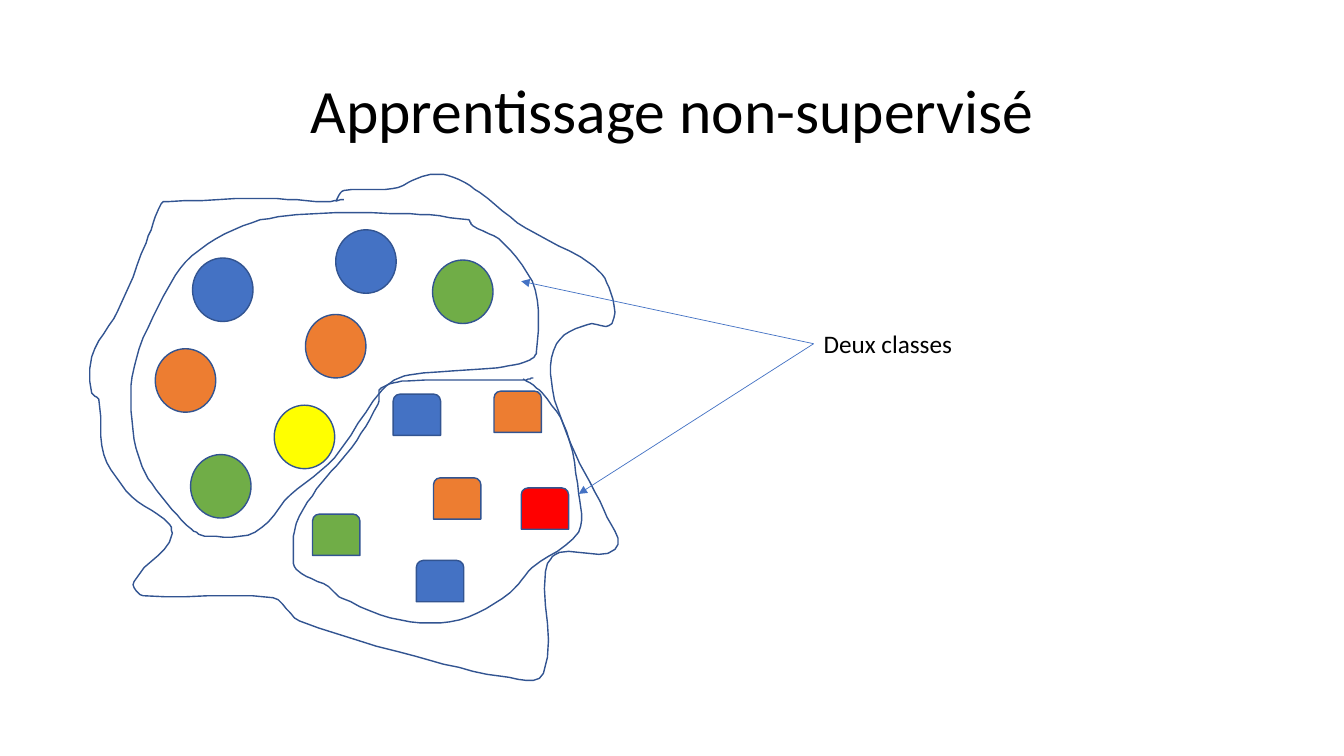
from pptx import Presentation
from pptx import util as u
from pptx.dml.color import RGBColor
from pptx.enum import shapes, text
from pptx.oxml.ns import qn
from lxml import etree
import math

PX = 9144
STEPS = 6
COLORS = {"blue": "4472C4", "green": "70AD47", "orange": "ED7D31",
          "yellow": "FFFF00", "red": "FF0000", "outline": "325491",
          "text": "000000"}

CIRCLES = [(191, 256, "blue"), (189, 451, "green"), (303, 312, "orange"),
           (429, 258, "green"), (272, 402, "yellow"), (333, 228, "blue"),
           (154, 346, "orange")]
TABS = [(490, 388, "orange"), (390, 391, "blue"), (517, 484, "red"),
        (430, 474, "orange"), (413, 556, "blue"), (310, 510, "green")]

DATA_SET = [
    (341, 198), (322, 200), (266, 197), (168, 200), (160, 202), (145, 241),
    (117, 308), (91, 354), (91, 390), (98, 396), (103, 451), (131, 493),
    (168, 520), (168, 538), (133, 577), (142, 591), (271, 593), (297, 616),
    (412, 651), (498, 671), (539, 668), (541, 567), (555, 548), (610, 545),
    (599, 506), (571, 451), (548, 386), (552, 341), (583, 322), (607, 321),
    (604, 285), (586, 262), (521, 226), (476, 191), (444, 174), (419, 175),
    (390, 187), (341, 189), (333, 200)]
ROUND_CLASS = [
    (465, 218), (407, 212), (294, 213), (241, 224), (190, 254), (162, 294),
    (135, 357), (130, 408), (141, 463), (163, 496), (190, 525), (206, 532),
    (253, 528), (288, 491), (332, 454), (379, 387), (406, 372), (493, 365),
    (526, 357), (532, 349), (531, 288), (499, 241), (469, 224), (465, 218)]
SQUARE_CLASS = [
    (529, 375), (519, 377), (404, 378), (378, 385), (375, 401), (349, 444),
    (319, 479), (294, 519), (291, 546), (294, 565), (326, 582), (338, 593),
    (397, 615), (456, 615), (506, 588), (528, 563), (574, 528), (574, 490),
    (562, 428), (538, 390), (519, 376)]


def smooth(points):
    """Return a softly curved path through the points."""
    ends = [points[0], *points, points[-1]]
    headings = [math.atan2(b[1] - a[1], b[0] - a[0])
                for a, b in zip(ends, ends[2:])]
    path = [points[0]]
    for i, (a, b) in enumerate(zip(points, points[1:])):
        reach = math.dist(a, b) / 3
        turns = [(math.cos(h) * reach, math.sin(h) * reach)
                 for h in headings[i:i + 2]]
        for step in range(1, STEPS + 1):
            t = step / STEPS
            k = 1 - t
            path.append(tuple(
                k**3 * a[d] + 3 * k * k * t * (a[d] + turns[0][d])
                + 3 * k * t * t * (b[d] - turns[1][d]) + t**3 * b[d]
                for d in (0, 1)))
    return path


class Sketch:
    """Holds the style and the current slide."""

    def __init__(self, prs):
        self.font = "Calibri"
        self.s = prs.slides.add_slide(prs.slide_layouts[6])

    def color(self, name):
        return RGBColor.from_string(COLORS[name])

    def pen(self, sp, name="outline", width=1):
        sp.line.color.rgb = self.color(name)
        sp.line.width = u.Pt(width)

    def outline(self, points):
        start, *rest = smooth(points)
        builder = self.s.shapes.build_freeform(*start, scale=PX)
        builder.add_line_segments(rest, close=False)
        sp = builder.convert_to_shape()
        sp.shadow.inherit = False
        sp.fill.background()
        self.pen(sp)

    def item(self, kind, x, y, w, h, fill):
        sp = self.s.shapes.add_shape(kind, x * PX, y * PX, w * PX, h * PX)
        sp.shadow.inherit = False
        sp.fill.solid()
        sp.fill.fore_color.rgb = self.color(fill)
        self.pen(sp)

    def label(self, words, x, y, w, h, size, align=text.PP_ALIGN.LEFT,
              anchor=text.MSO_ANCHOR.TOP, spacing=1.0):
        sp = self.s.shapes.add_textbox(x * PX, y * PX, w * PX, h * PX)
        tf = sp.text_frame
        tf.word_wrap = True
        tf.vertical_anchor = anchor
        tf.text = words
        p = tf.paragraphs[0]
        p.alignment = align
        p.line_spacing = spacing
        r = p.runs[0]
        r.font.name = self.font
        r.font.size = u.Pt(size)
        r.font.color.rgb = self.color("text")

    def arrow(self, x1, y1, x2, y2):
        sp = self.s.shapes.add_connector(
            shapes.MSO_CONNECTOR.STRAIGHT, x1 * PX, y1 * PX, x2 * PX, y2 * PX)
        self.pen(sp, "blue", 0.5)
        ln = sp._element.spPr.find(qn("a:ln"))
        etree.SubElement(ln, qn("a:tailEnd"), type="triangle")
        etree.SubElement(sp._element.spPr, qn("a:effectLst"))


def main():
    prs = Presentation()
    prs.slide_width, prs.slide_height = 1333 * PX, 750 * PX
    sketch = Sketch(prs)
    sketch.label("Apprentissage non-supervisé", 92, 40, 1150, 145, 44,
                 text.PP_ALIGN.CENTER, text.MSO_ANCHOR.MIDDLE, 0.9)
    sketch.outline(DATA_SET)
    for x, y, fill in CIRCLES:
        sketch.item(shapes.MSO_SHAPE.OVAL, x, y, 60, 63, fill)
    for x, y, fill in TABS:
        sketch.item(shapes.MSO_SHAPE.ROUND_2_SAME_RECTANGLE, x, y, 47, 41, fill)
    sketch.outline(ROUND_CLASS)
    sketch.outline(SQUARE_CLASS)
    sketch.label("Deux classes", 807, 321, 434, 40, 18)
    for x, y in [(517, 279), (574, 490)]:
        sketch.arrow(807, 341, x, y)
    prs.save("out.pptx")


if __name__ == "__main__":
    main()
